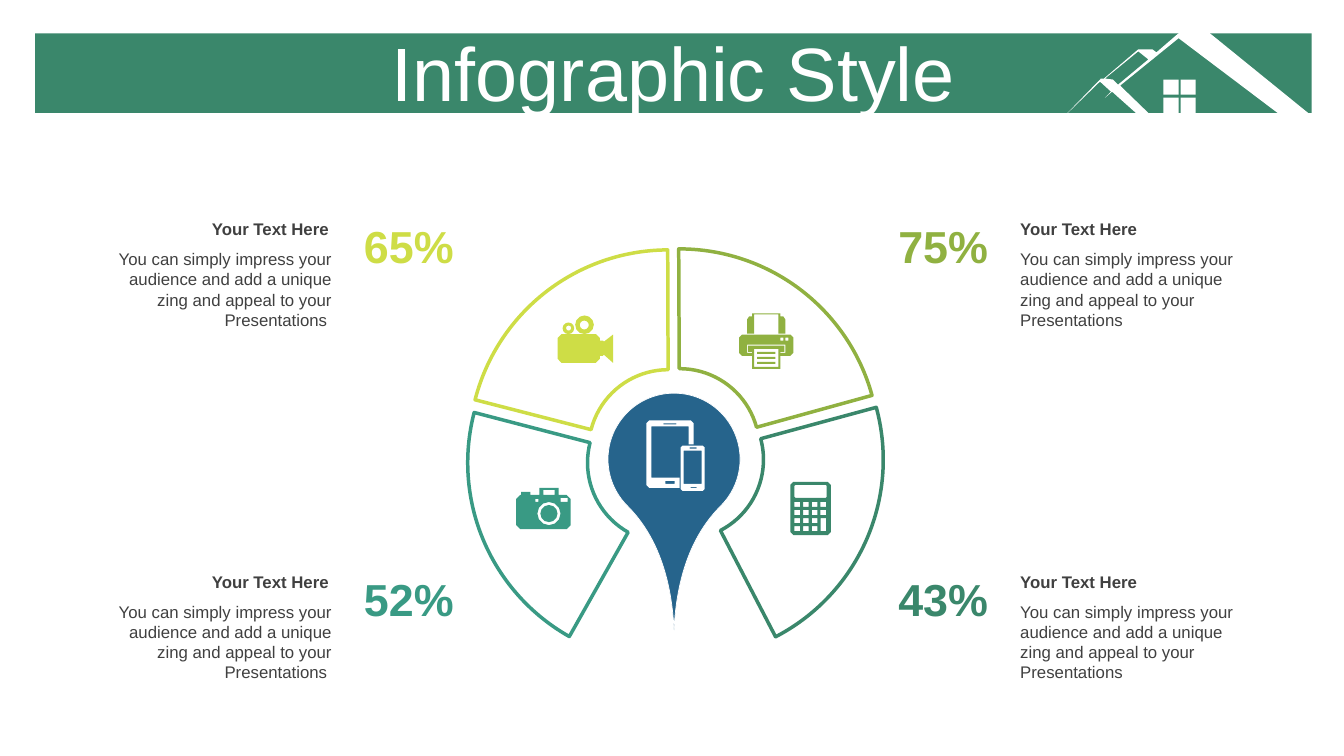
from math import cos, radians, sin
from pptx import Presentation
from pptx.dml.color import RGBColor
from pptx.enum.shapes import MSO_SHAPE
from pptx.enum.text import MSO_ANCHOR, MSO_AUTO_SIZE, PP_ALIGN
from pptx.util import Inches, Pt

BAR, ARC, DROP = MSO_SHAPE.RECTANGLE, MSO_SHAPE.BLOCK_ARC, MSO_SHAPE.TEAR
LEFT, MID, RIGHT = PP_ALIGN.LEFT, PP_ALIGN.CENTER, PP_ALIGN.RIGHT
CENTER, FIXED, GROW = MSO_ANCHOR.MIDDLE, MSO_AUTO_SIZE.NONE, MSO_AUTO_SIZE.SHAPE_TO_FIT_TEXT

THEME = {
    "font": "Arial", "title": Pt(54), "share": Pt(32), "text": Pt(12),
    "white": RGBColor.from_string("FFFFFF"),
    "ink": RGBColor.from_string("404040"),
    "lime": RGBColor.from_string("CEDD46"),
    "olive": RGBColor.from_string("90B141"),
    "green": RGBColor.from_string("3A876B"),
    "teal": RGBColor.from_string("399A84"),
    "blue": RGBColor.from_string("26648C"),
}
COLS, ROWS = 1333, 750
CELL = Inches(0.01)

deck = Presentation()
deck.slide_width, deck.slide_height = COLS * CELL, ROWS * CELL
slide = deck.slides.add_slide(deck.slide_layouts[5])
shapes = slide.shapes


def ring(x, y, w, h, r=0):
    turns = (0, 30, 60) if 2 * r == w else (0, 90) if r else (0,)
    mids = ((x + w - r, y + h - r), (x + r, y + h - r), (x + r, y + r), (x + w - r, y + r))
    return [(mx + r * cos(radians(90 * k + t)), my + r * sin(radians(90 * k + t)))
            for k, (mx, my) in enumerate(mids) for t in turns]


def trace(rings, tint):
    pen = None
    for points in rings:
        spots = [(round(x * CELL), round(y * CELL)) for x, y in points]
        if pen is None:
            pen = shapes.build_freeform(*spots[0], scale=1.0)
        else:
            pen.move_to(*spots[0])
        pen.add_line_segments(spots[1:], close=True)
    form = pen.convert_to_shape()
    form.shadow.inherit = False
    form.fill.solid()
    form.fill.fore_color.rgb = THEME[tint]
    form.line.fill.background()


band = shapes.add_shape(BAR, 35 * CELL, 33 * CELL, 1266 * CELL, 79 * CELL)
band.shadow.inherit = False
band.fill.solid()
band.fill.fore_color.rgb = THEME["green"]
band.line.fill.background()

house = [ring(1154 + 17 * c, 79 + 18 * r, 15, 15) for r in range(2) for c in range(2)]
house += [
    [(1129, 51), (1096, 78), (1104, 79), (1109, 84), (1139, 59)],
    [(1169, 33), (1200, 33), (1301, 115), (1271, 115), (1169, 38), (1111, 85), (1143, 116),
     (1131, 116), (1103, 91), (1096, 97), (1102, 91), (1091, 81), (1055, 116),
     (1092, 78), (1095, 78), (1129, 49), (1143, 49), (1147, 52)],
]
trace(house, "white")

title = shapes.title
title.left, title.top, title.width, title.height = 35 * CELL, 37 * CELL, 1266 * CELL, 79 * CELL
shapes.element.append(title.element)
frame = title.text_frame
frame.word_wrap, frame.auto_size, frame.vertical_anchor = True, FIXED, CENTER
para = frame.paragraphs[0]
para.alignment, para.line_spacing, para.space_before = MID, 0.9, Pt(10)
run = para.add_run()
run.text = "Infographic Style"
run.font.name, run.font.size = THEME["font"], THEME["title"]
run.font.color.rgb = THEME["white"]

parts = [
    (ARC, 465, 248, 396, 0, (116.65, 161.88, 0.3), "white", "lime", 2.5),
    (ARC, 476, 247, 396, 75, (116.85, 161.74, 0.3), "white", "olive", 2.5),
    (ARC, 480, 258, 396, 153, (115.08, 161.74, 0.3), "white", "green", 2.5),
    (ARC, 464, 261, 396, 285, (116.65, 161.74, 0.3), "white", "teal", 2.5),
    (DROP, 603, 390, 131, 135, (1.83,), "blue", "white", 0.5),
]
for kind, x, y, size, turn, bends, fill, edge, weight in parts:
    part = shapes.add_shape(kind, x * CELL, y * CELL, size * CELL, size * CELL)
    part.rotation = turn
    for k, bend in enumerate(bends):
        part.adjustments[k] = bend
    part.shadow.inherit = False
    part.fill.solid()
    part.fill.fore_color.rgb = THEME[fill]
    part.line.color.rgb = THEME[edge]
    part.line.width = Pt(weight)

tablet = [
    [(644, 417), (685, 417), (688, 420), (688, 441), (683, 441), (683, 423), (646, 423),
     (646, 474), (674, 474), (674, 484), (644, 484), (641, 481), (641, 420)],
    ring(658, 420, 13, 1), ring(660, 477, 9, 3),
    ring(675, 442, 24, 45, 2), ring(678, 447, 18, 33),
    ring(684, 444, 7, 1), ring(685, 483, 6, 1),
]
trace(tablet, "white")

keys = [ring(788 + 8.6 * c, 498 + 8 * r, 5.5, 5)
        for r in range(4) for c in range(4) if c < 3 or r < 2]
trace([ring(784, 478, 40, 53, 3), ring(788, 481, 32, 13, 1),
       ring(814, 514, 5.5, 13)] + keys, "green")

printer = [
    [(741, 331), (741, 317), (743, 314), (746, 314), (746, 311), (774, 311), (774, 314),
     (777, 314), (779, 317), (779, 331), (772, 331), (772, 312), (748, 312), (748, 331)],
    [(736, 332), (784, 332), (787, 335), (787, 350), (784, 353), (774, 353), (774, 366),
     (746, 366), (746, 353), (736, 353), (733, 350), (733, 335)],
    [(741, 342), (779, 342), (779, 350), (774, 350), (774, 349), (778, 349), (778, 343),
     (742, 343), (742, 349), (746, 349), (746, 350), (741, 350)],
    ring(748, 346, 24, 18),
]
printer += [ring(751, 349 + 5 * k, 18, 2) for k in range(3)]
printer += [ring(774 + 5 * k, 335, 3, 3) for k in range(2)]
trace(printer, "olive")

camera = [
    [(516, 491), (517, 491), (517, 488), (526, 488), (526, 491), (535, 491), (535, 484),
     (554, 484), (554, 491), (562, 491), (566, 495), (566, 521), (562, 525), (516, 525),
     (512, 521), (512, 495)],
    ring(533, 498, 23, 23, 11.5), ring(536, 501, 17, 17, 8.5),
    ring(531, 495, 3, 3), ring(556, 494, 7, 4), ring(539, 486, 11, 5),
]
trace(camera, "teal")

movie = [
    ring(553, 331.5, 42, 28.5, 4),
    [(595, 338), (598, 338), (599, 339), (608, 332), (608, 360), (599, 352), (598, 353), (595, 353)],
    ring(570.5, 313, 18.5, 18.5, 9.25), ring(575, 318, 9, 9, 4.5),
    ring(558, 320, 11.5, 11.5, 5.75), ring(561.5, 323, 5, 5, 2.5),
]
trace(movie, "lime")

HEAD = "Your Text Here"
BODY = "You can simply impress your audience and add a unique zing and appeal to your Presentations"
sides = [
    (RIGHT, 100, 99, 349, BODY + " ", (("65%", "lime"), ("52%", "teal"))),
    (LEFT, 1002, 1002, 879, BODY, (("75%", "olive"), ("43%", "green"))),
]
for align, left, start, edge, words, shares in sides:
    for row, (share, tint) in enumerate(shares):
        top = 212 + 350 * row
        boxes = [
            (left, top + 30, 239, 91, words, align, "text", "ink", False),
            (start, top, 237, 30, HEAD, align, "text", "ink", True),
            (edge, top, 113, 64, share, MID, "share", tint, True),
        ]
        for x, y, w, h, text, flow, size, tone, bold in boxes:
            box = shapes.add_textbox(x * CELL, y * CELL, w * CELL, h * CELL)
            frame = box.text_frame
            frame.word_wrap, frame.auto_size = True, GROW
            para = frame.paragraphs[0]
            para.alignment = flow
            run = para.add_run()
            run.text = text
            run.font.name, run.font.size, run.font.bold = THEME["font"], THEME[size], bold
            run.font.color.rgb = THEME[tone]

deck.save("out.pptx")
